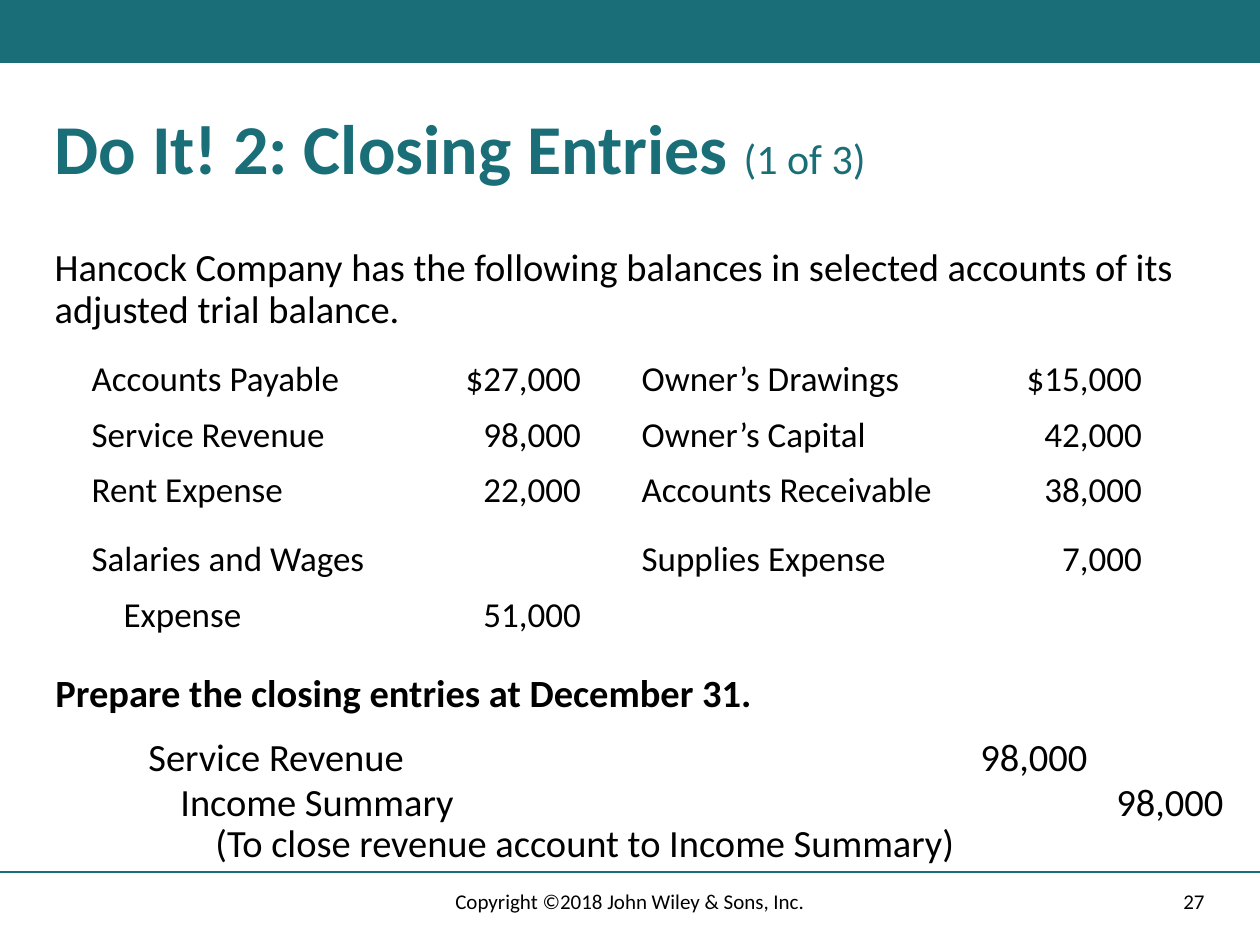
import dataclasses
import typing

import pptx
import pptx.dml.color
import pptx.enum.shapes
import pptx.enum.text
import pptx.oxml
import pptx.oxml.ns
import pptx.util

EMU_PER_PX = 914400 / 126
TEAL = "196E78"
BLACK = "000000"
ALIGN = pptx.enum.text.PP_ALIGN
ANCHOR = pptx.enum.text.MSO_ANCHOR
TOP_FRAME = {
    "word_wrap": True,
    "auto_size": pptx.enum.text.MSO_AUTO_SIZE.NONE,
    "vertical_anchor": ANCHOR.TOP,
}
MIDDLE_FRAME = {**TOP_FRAME, "vertical_anchor": ANCHOR.MIDDLE}


class Box(typing.NamedTuple):
    left: int
    top: int
    width: int
    height: int


@dataclasses.dataclass
class Line:
    text: str
    size: int = 22
    bold: bool = False
    color: str = BLACK
    align: ALIGN = ALIGN.LEFT
    spacing: float = 0.9
    indent: int = 0


@dataclasses.dataclass
class Passage:
    box: Box
    lines: list[Line]
    frame: dict[str, typing.Any] = dataclasses.field(default_factory=lambda: TOP_FRAME)


class Balance(typing.NamedTuple):
    account: str
    amount: str
    other_account: str
    other_amount: str


PASSAGES = [
    Passage(Box(43, 668, 745, 53), [Line("Prepare the closing entries at December 31.", bold=True)]),
    Passage(Box(136, 732, 281, 50), [Line("Service Revenue")]),
    Passage(Box(968, 732, 135, 48), [Line("98,000")]),
    Passage(
        Box(168, 777, 809, 84),
        [Line("Income Summary"), Line("(To close revenue account to Income Summary)", indent=35)],
    ),
    Passage(Box(1104, 777, 135, 53), [Line("98,000")]),
    Passage(Box(890, 876, 327, 50), [Line("27", 12, align=ALIGN.RIGHT, spacing=1.0)], MIDDLE_FRAME),
    Passage(
        Box(417, 876, 426, 50),
        [Line("Copyright ©2018 John Wiley & Sons, Inc.", 12, align=ALIGN.CENTER, spacing=1.0)],
        MIDDLE_FRAME,
    ),
]

BALANCES = [
    Balance("Accounts Payable", "$27,000", "Owner’s Drawings", "$15,000"),
    Balance("Service Revenue", "98,000", "Owner’s Capital", "42,000"),
    Balance("Rent Expense", "22,000", "Accounts Receivable", "38,000"),
    Balance("Salaries and Wages", "", "Supplies Expense", "7,000"),
    Balance("Expense", "51,000", "", ""),
]
BALANCE_BOX = Box(79, 352, 1076, 289)
COLUMN_WIDTHS = [341, 209, 336, 190]
ROW_HEIGHTS = [55, 55, 69, 55, 55]
COLUMN_ALIGNS = [ALIGN.LEFT, ALIGN.RIGHT, ALIGN.LEFT, ALIGN.RIGHT]
RIGHT_MARGINS = [13, 48, 13, 13]
EXPENSE_INDENT = 32


def px(length: int) -> pptx.util.Emu:
    return pptx.util.Emu(round(length * EMU_PER_PX))


def rgb(color: str) -> pptx.dml.color.RGBColor:
    return pptx.dml.color.RGBColor.from_string(color)


def apply(target: typing.Any, formats: dict[str, typing.Any]) -> None:
    for attribute, value in formats.items():
        setattr(target, attribute, value)


def place(shape: typing.Any, box: Box) -> None:
    apply(shape, {side: px(length) for side, length in box._asdict().items()})


def add_run(paragraph: typing.Any, line: Line) -> None:
    run = paragraph.add_run()
    run.text = line.text
    apply(run.font, {"name": "Calibri", "size": pptx.util.Pt(line.size), "bold": line.bold})
    run.font.color.rgb = rgb(line.color)


def write_line(paragraph: typing.Any, line: Line) -> None:
    properties = paragraph._p.get_or_add_pPr()
    properties.set("marL", str(px(line.indent)))
    properties.set("indent", "0")
    properties.append(pptx.oxml.parse_xml(f"<a:buNone {pptx.oxml.ns.nsdecls('a')}/>"))
    apply(
        paragraph,
        {"alignment": line.align, "line_spacing": line.spacing, "space_before": pptx.util.Pt(0)},
    )
    add_run(paragraph, line)


def write_passage(shape: typing.Any, passage: Passage) -> None:
    place(shape, passage.box)
    apply(shape.text_frame, passage.frame)
    for index, line in enumerate(passage.lines):
        paragraph = shape.text_frame.add_paragraph() if index else shape.text_frame.paragraphs[0]
        write_line(paragraph, line)


def add_band(slide: typing.Any) -> None:
    band = slide.shapes.add_shape(
        pptx.enum.shapes.MSO_SHAPE.RECTANGLE, 0, 0, px(1260), px(63)
    )
    band.shadow.inherit = False
    band.fill.solid()
    band.fill.fore_color.rgb = rgb(TEAL)
    band.line.fill.background()


def add_footer_rule(slide: typing.Any) -> None:
    rule = slide.shapes.add_connector(
        pptx.enum.shapes.MSO_CONNECTOR.STRAIGHT, 0, px(872), px(1260), px(872)
    )
    rule.line.color.rgb = rgb(TEAL)
    rule.line.width = pptx.util.Pt(1)
    rule._element.spPr.append(
        pptx.oxml.parse_xml(f"<a:effectLst {pptx.oxml.ns.nsdecls('a')}/>")
    )


def add_balances(slide: typing.Any) -> None:
    balances = slide.shapes.add_table(
        len(BALANCES), len(COLUMN_WIDTHS), *map(px, BALANCE_BOX)
    ).table
    apply(balances, {"first_row": False, "horz_banding": False})
    for column, width in zip(balances.columns, COLUMN_WIDTHS):
        column.width = px(width)
    for row, height, balance in zip(balances.rows, ROW_HEIGHTS, BALANCES):
        row.height = px(height)
        for cell, text, align, margin in zip(row.cells, balance, COLUMN_ALIGNS, RIGHT_MARGINS):
            cell.fill.background()
            cell.margin_right = px(margin)
            if text:
                indent = EXPENSE_INDENT if text == "Expense" else 0
                line = Line(text, 20, align=align, spacing=1.0, indent=indent)
                write_line(cell.text_frame.paragraphs[0], line)


def main() -> None:
    presentation = pptx.Presentation()
    apply(presentation, {"slide_width": px(1260), "slide_height": px(945)})
    slide = presentation.slides.add_slide(presentation.slide_layouts[1])
    add_band(slide)
    add_footer_rule(slide)

    title = slide.shapes.title
    heading = Line("Do It! 2: Closing Entries ", 40, True, TEAL)
    write_passage(title, Passage(Box(42, 105, 1176, 94), [heading], MIDDLE_FRAME))
    add_run(title.text_frame.paragraphs[0], Line("(1 of 3)", 24, color=TEAL))

    introduction = Line(
        "Hancock Company has the following balances in selected accounts of its adjusted trial balance."
    )
    write_passage(slide.placeholders[1], Passage(Box(42, 242, 1176, 98), [introduction]))

    add_balances(slide)
    for passage in PASSAGES:
        write_passage(slide.shapes.add_textbox(*map(px, passage.box)), passage)
    presentation.save("out.pptx")


if __name__ == "__main__":
    main()
